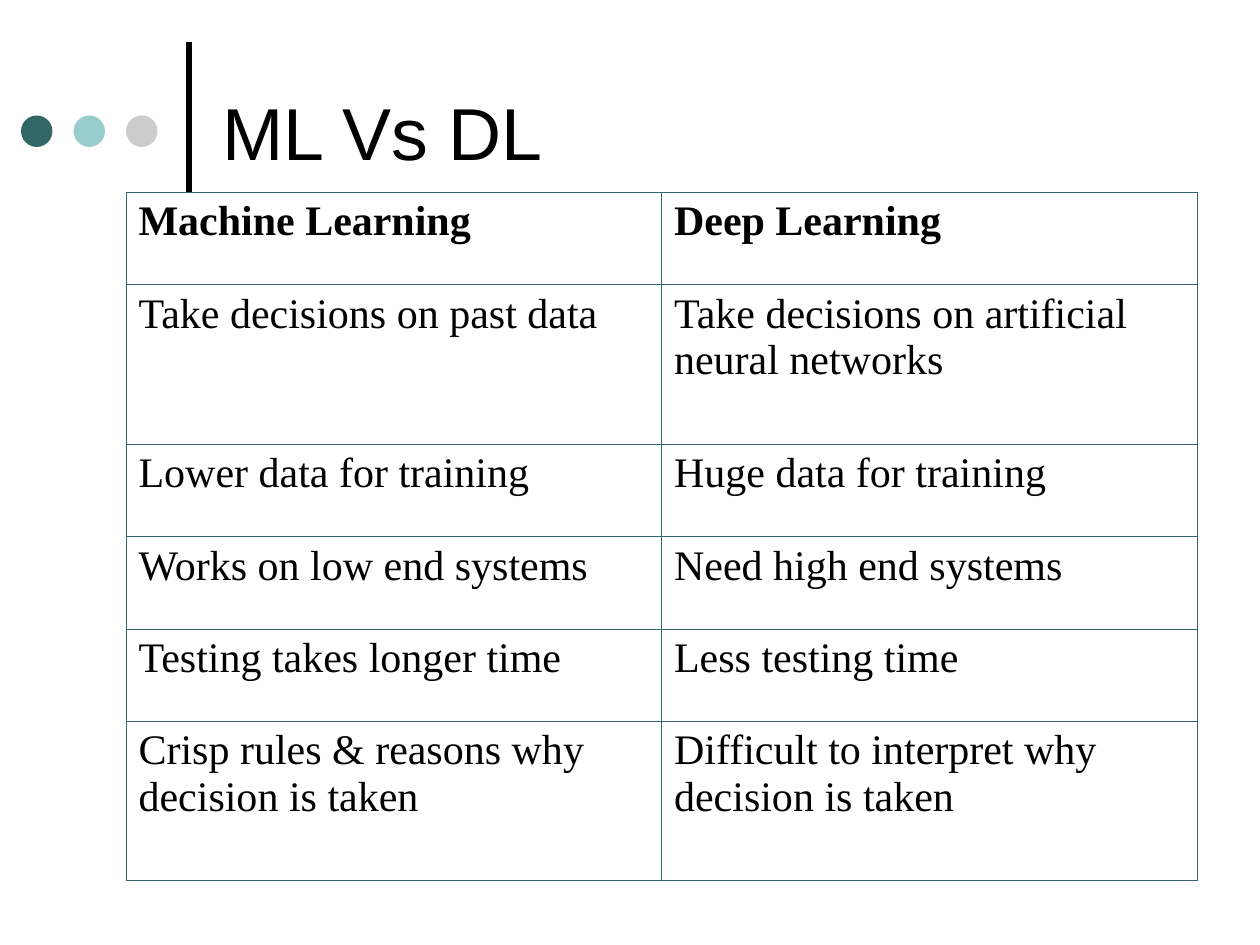
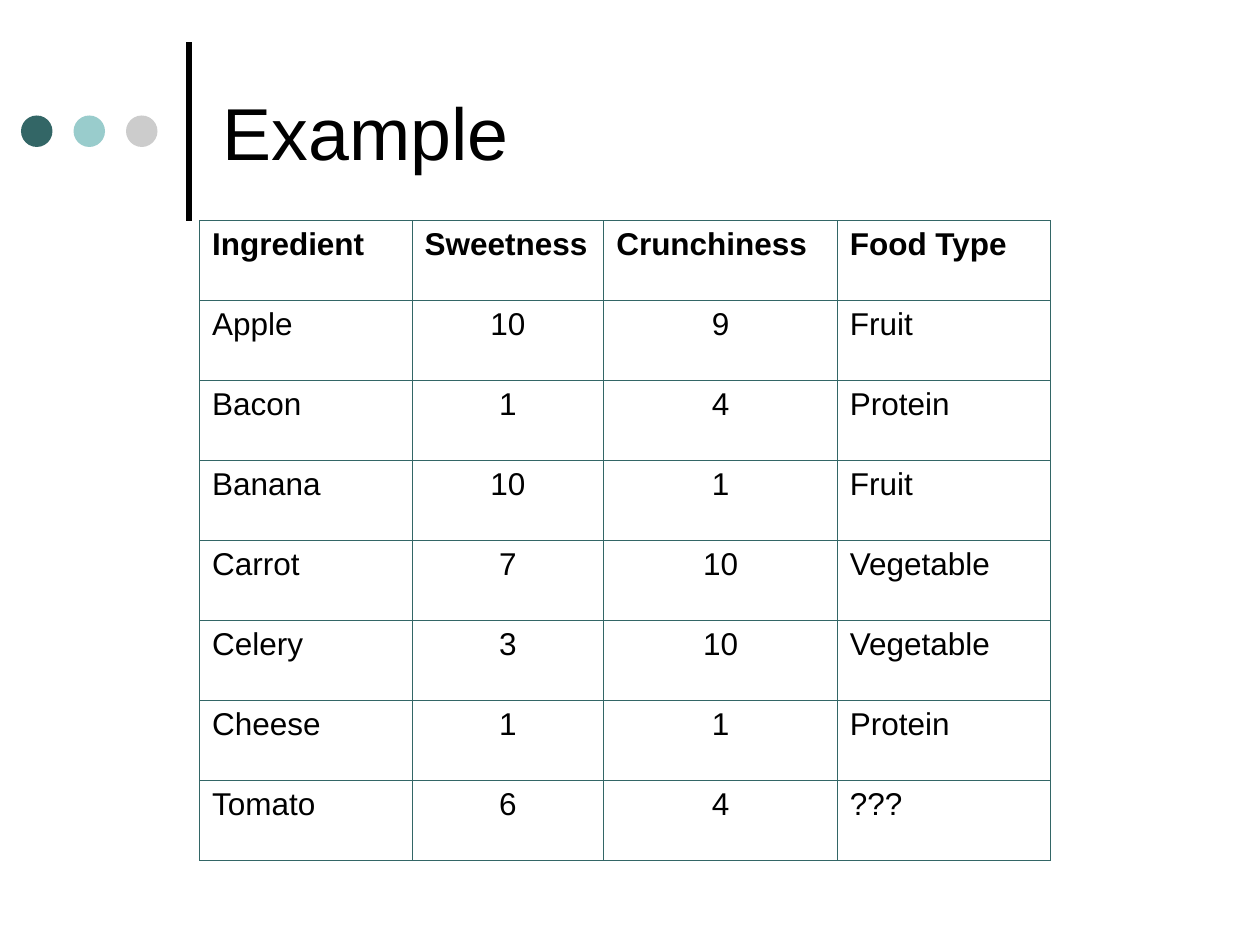
from lxml.etree import SubElement
from pptx import Presentation
from pptx.dml.color import RGBColor
from pptx.enum.shapes import MSO_CONNECTOR, MSO_SHAPE
from pptx.enum.text import MSO_ANCHOR, MSO_AUTO_SIZE, PP_ALIGN
from pptx.oxml.ns import qn
from pptx.util import Inches, Pt

COLORS = {
    "ink": "000000",
    "paper": "FFFFFF",
    "teal": "336666",
    "aqua": "99CCCC",
    "silver": "CCCCCC",
}
TITLE_FONT = {"name": "Arial", "size": Pt(42), "bold": False}

# The slide is a grid of 120 columns by 90 rows, 12 to the inch
COLUMNS, ROWS = 120, 90

COMPARISON = [
    ("Machine Learning", "Deep Learning"),
    ("Take decisions on past data", "Take decisions on artificial neural networks"),
    ("Lower data for training", "Huge data for training"),
    ("Works on low end systems", "Need high end systems"),
    ("Testing takes longer time", "Less testing time"),
    ("Crisp rules & reasons why decision is taken",
     "Difficult to interpret why decision is taken"),
]
FOODS = [
    ("Ingredient", "Sweetness", "Crunchiness", "Food Type"),
    ("Apple", "10", "9", "Fruit"),
    ("Bacon", "1", "4", "Protein"),
    ("Banana", "10", "1", "Fruit"),
    ("Carrot", "7", "10", "Vegetable"),
    ("Celery", "3", "10", "Vegetable"),
    ("Cheese", "1", "1", "Protein"),
    ("Tomato", "6", "4", "???"),
]


def grid(units):
    return Inches(units / 12)


def color(name):
    return RGBColor.from_string(COLORS[name])


def set_all(target, values):
    for attribute, value in values.items():
        setattr(target, attribute, value)


def style_font(font, values):
    set_all(font, values)
    font.color.rgb = color("ink")


# Shared slide dress: three dots, upright rule, title
def add_dots(slide):
    for step, tone in enumerate(("teal", "aqua", "silver")):
        dot = slide.shapes.add_shape(
            MSO_SHAPE.OVAL, grid(2 + 5 * step), grid(11), grid(3), grid(3))
        dot.shadow.inherit = False
        dot.fill.solid()
        dot.fill.fore_color.rgb = color(tone)
        dot.line.fill.background()


def add_rule(slide):
    rule = slide.shapes.add_connector(
        MSO_CONNECTOR.STRAIGHT, grid(18), grid(21), grid(18), grid(4))
    rule.line.color.rgb = color("ink")
    rule.line.width = Pt(3)
    SubElement(rule._element.spPr, qn("a:effectLst"))


def set_title(slide, wording):
    title = slide.shapes.title
    set_all(title, {"left": grid(20), "top": grid(2.5),
                    "width": grid(92), "height": grid(20)})
    frame = title.text_frame
    frame.text = wording
    set_all(frame, {"vertical_anchor": MSO_ANCHOR.MIDDLE, "word_wrap": True,
                    "auto_size": MSO_AUTO_SIZE.NONE})
    heading = frame.paragraphs[0]
    heading.alignment = PP_ALIGN.LEFT
    style_font(heading.runs[0].font, TITLE_FONT)


def add_titled_slide(deck, wording):
    slide = deck.slides.add_slide(deck.slide_layouts[5])
    add_rule(slide)
    add_dots(slide)
    set_title(slide, wording)
    return slide


# Ruled tables
def add_cell_borders(cell):
    properties = cell._tc.get_or_add_tcPr()
    for position, side in enumerate(("lnL", "lnR", "lnT", "lnB")):
        border = properties.makeelement(qn(f"a:{side}"), {"w": str(Pt(0.45))})
        properties.insert(position, border)
        fill = SubElement(border, qn("a:solidFill"))
        SubElement(fill, qn("a:srgbClr"), val=COLORS["teal"])


def fill_cell(cell, wording, font_values, alignment):
    cell.text = wording
    cell.fill.solid()
    cell.fill.fore_color.rgb = color("paper")
    add_cell_borders(cell)
    paragraph = cell.text_frame.paragraphs[0]
    paragraph.alignment = alignment
    style_font(paragraph.runs[0].font, font_values)


def add_ruled_table(slide, records, corner, widths, heights, font_values):
    left, top = corner
    table = slide.shapes.add_table(
        len(records), len(widths), grid(left), grid(top),
        grid(sum(widths)), grid(sum(heights))).table
    for column, width in zip(table.columns, widths):
        column.width = grid(width)
    for row, height in zip(table.rows, heights):
        row.height = grid(height)
    for r, record in enumerate(records):
        for c, wording in enumerate(record):
            alignment = PP_ALIGN.CENTER if wording.isdigit() else PP_ALIGN.LEFT
            fill_cell(table.cell(r, c), wording,
                      {**font_values, "bold": r == 0}, alignment)


def main():
    deck = Presentation()
    deck.slide_width, deck.slide_height = grid(COLUMNS), grid(ROWS)

    # Comparison of the two kinds of learning
    comparison = add_titled_slide(deck, "ML Vs DL")
    one_line, two_lines = 8.8, 15.2
    add_ruled_table(
        comparison, COMPARISON, corner=(12, 18.3), widths=[51] * 2,
        heights=[one_line, two_lines, one_line, one_line, one_line, two_lines],
        font_values={"name": "Times New Roman", "size": Pt(24)})

    # Food data
    example = add_titled_slide(deck, "Example")
    add_ruled_table(
        example, FOODS, corner=(19, 21), widths=[20.25, 18.25, 22.25, 20.25],
        heights=[61 / len(FOODS)] * len(FOODS),
        font_values={"name": "Arial", "size": Pt(18)})

    deck.save("out.pptx")


if __name__ == "__main__":
    main()
